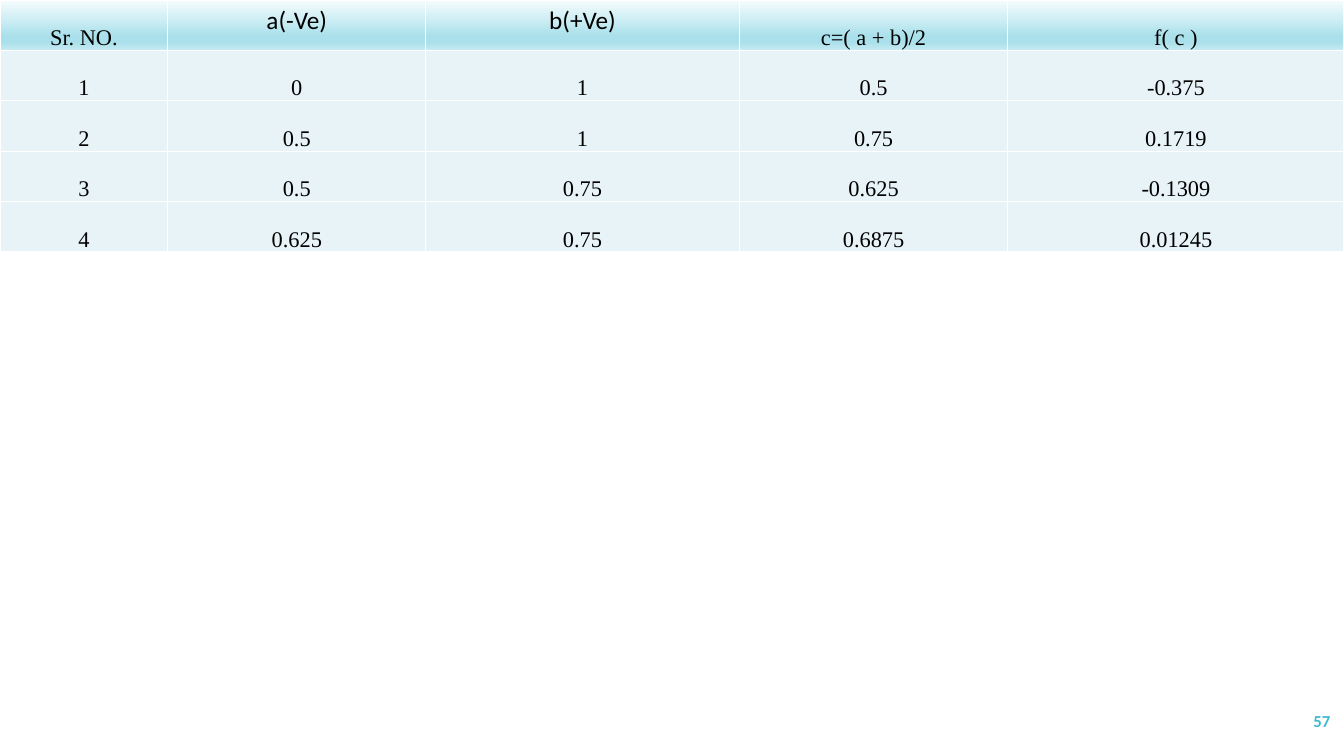
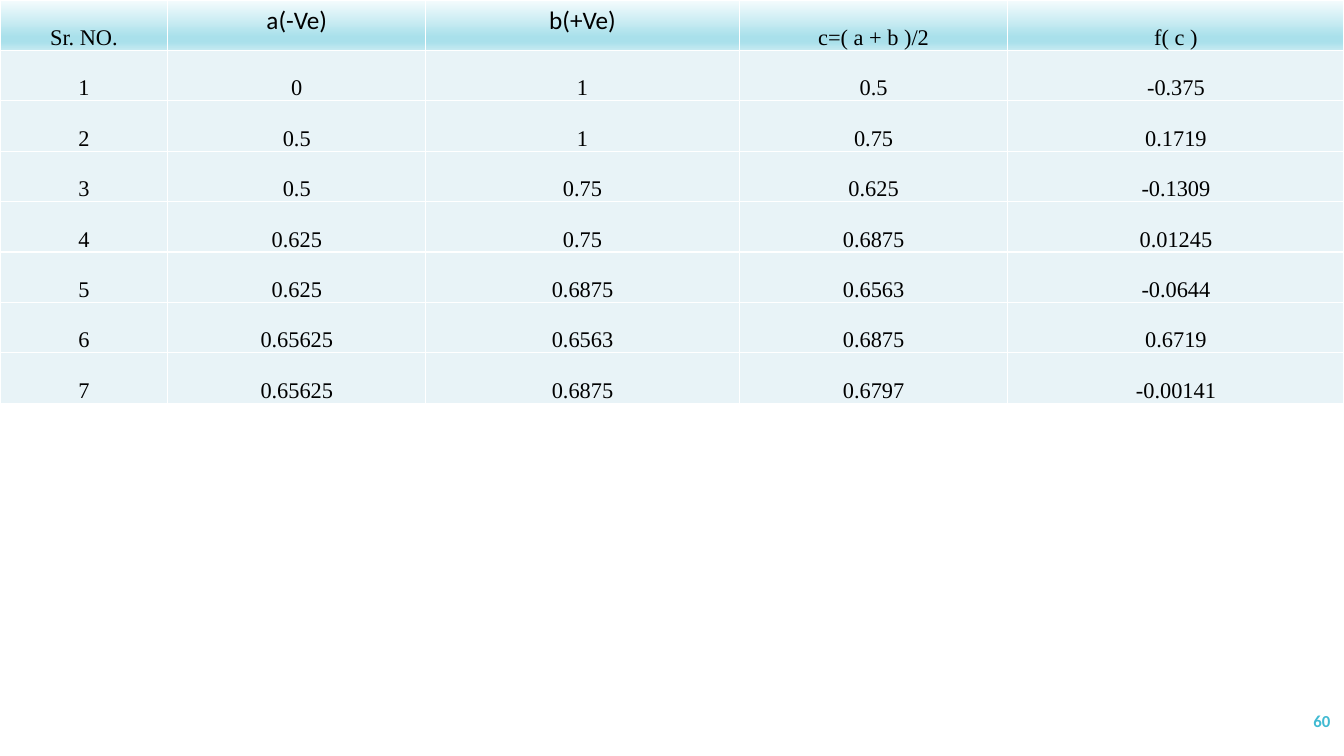
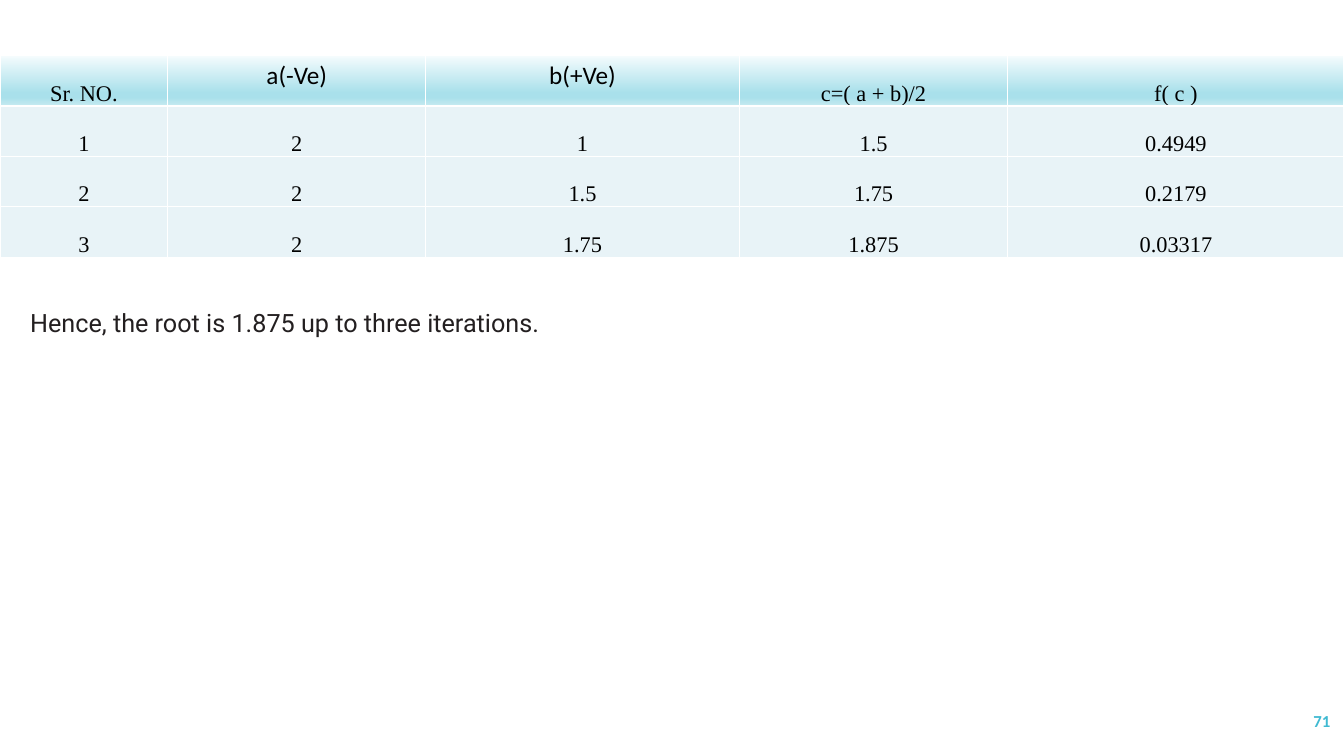
from lxml import etree
from pptx import Presentation, oxml
from pptx import util as u
from pptx.dml.color import RGBColor
from pptx.enum import text
from pptx.oxml.ns import qn

BLACK = RGBColor(0x00, 0x00, 0x00)
WHITE = RGBColor(0xFF, 0xFF, 0xFF)
INK = RGBColor(0x23, 0x1F, 0x20)
TEAL = RGBColor(0x40, 0xBA, 0xD2)
ROW_FILL = RGBColor(0xE8, 0xF3, 0xF7)
SKY = RGBColor(0xA9, 0xE0, 0xEB)
HEADER_STOPS = [(0, RGBColor(0xF5, 0xFC, 0xFD)), (74, SKY), (83, SKY),
                (100, RGBColor(0xC6, 0xEA, 0xF1))]

SANS, SERIF, NOTE_FONT = "Calibri", "Times New Roman", "Roboto"
PAGE_WIDTH, PAGE_HEIGHT = u.Cm(33.87), u.Cm(19.05)
COLUMN_WIDTHS = [4.23, 6.5, 7.9, 6.77, 8.47]
ROW_HEIGHT = 1.27

MIDPOINT = "c=( a + b)/2"
FIRST_STEPS = [
    ("1", "0", "1", "0.5", "-0.375"),
    ("2", "0.5", "1", "0.75", "0.1719"),
    ("3", "0.5", "0.75", "0.625", "-0.1309"),
    ("4", "0.625", "0.75", "0.6875", "0.01245"),
]
LATER_STEPS = [
    ("5", "0.625", "0.6875", "0.6563", "-0.0644"),
    ("6", "0.65625", "0.6563", "0.6875", "0.6719"),
    ("7", "0.65625", "0.6875", "0.6797", "-0.00141"),
]
SECOND_ROOT_STEPS = [
    ("1", "2", "1", "1.5", "0.4949"),
    ("2", "2", "1.5", "1.75", "0.2179"),
    ("3", "2", "1.75", "1.875", "0.03317"),
]


def write(frame, words, size=16, font=SERIF, color=BLACK, bold=False,
          align=text.PP_ALIGN.CENTER):
    para = frame.paragraphs[0]
    para.alignment = align
    span = para.add_run()
    span.text = words
    span.font.size = u.Pt(size)
    span.font.name = font
    span.font.bold = bold
    span.font.color.rgb = color


def add_text(page, left, top, width, words, anchor=text.MSO_ANCHOR.TOP, **style):
    box = page.shapes.add_textbox(u.Cm(left), u.Cm(top), u.Cm(width), u.Cm(1.02))
    box.text_frame.word_wrap = True
    box.text_frame.vertical_anchor = anchor
    write(box.text_frame, words, **style)


def draw_borders(cell):
    properties = cell._tc.get_or_add_tcPr()
    for side in ("lnL", "lnR", "lnT", "lnB"):
        line = etree.SubElement(properties, qn(f"a:{side}"), w=str(u.Pt(1)))
        fill = etree.SubElement(line, qn("a:solidFill"))
        etree.SubElement(fill, qn("a:srgbClr"), val=str(WHITE))


def fill_header(cell):
    """Give the cell the vertical four-stop gradient."""
    gradient = etree.SubElement(cell._tc.get_or_add_tcPr(), qn("a:gradFill"))
    stops = etree.SubElement(gradient, qn("a:gsLst"))
    for percent, color in HEADER_STOPS:
        stop = etree.SubElement(stops, qn("a:gs"), pos=str(percent * 1000))
        etree.SubElement(stop, qn("a:srgbClr"), val=str(color))
    etree.SubElement(gradient, qn("a:lin"), ang=str(90 * 60000), scaled="0")


def set_tight(cell):
    """Sit the text on the bottom edge with almost no margins."""
    cell.vertical_anchor = text.MSO_ANCHOR.BOTTOM
    cell.margin_left = cell.margin_right = cell.margin_top = u.Cm(0.03)
    cell.margin_bottom = 0


def add_steps_table(page, steps, top=0, midpoint=MIDPOINT):
    rows = [("Sr. NO.", "a(-Ve)", "b(+Ve)", midpoint, "f( c )"), *steps]
    table = page.shapes.add_table(
        len(rows), len(COLUMN_WIDTHS), 0, u.Cm(top), PAGE_WIDTH,
        u.Cm(ROW_HEIGHT * len(rows))).table
    table.first_row = table.horz_banding = False
    for column, width in zip(table.columns, COLUMN_WIDTHS):
        column.width = u.Cm(width)
    for row_index, row in enumerate(rows):
        table.rows[row_index].height = u.Cm(ROW_HEIGHT)
        for column_index, words in enumerate(row):
            cell = table.cell(row_index, column_index)
            draw_borders(cell)
            if row_index == 0:
                fill_header(cell)
            else:
                cell.fill.solid()
                cell.fill.fore_color.rgb = ROW_FILL
            if row_index == 0 and column_index in (1, 2):
                write(cell.text_frame, words, size=18, font=SANS)
            else:
                set_tight(cell)
                write(cell.text_frame, words)


def add_page(deck, number):
    page = deck.slides.add_slide(deck.slide_layouts[6])
    add_text(page, 29.54, 17.65, 4.24, number, anchor=text.MSO_ANCHOR.MIDDLE,
             size=12, font=SANS, color=TEAL, bold=True,
             align=text.PP_ALIGN.RIGHT)
    return page


def main():
    deck = Presentation()
    deck.slide_width, deck.slide_height = PAGE_WIDTH, PAGE_HEIGHT

    add_steps_table(add_page(deck, "57"), FIRST_STEPS)
    add_steps_table(add_page(deck, "60"), FIRST_STEPS + LATER_STEPS,
                    midpoint="c=( a + b )/2")

    page = add_page(deck, "71")
    add_steps_table(page, SECOND_ROOT_STEPS, top=1.4)
    add_text(page, 0.51, 7.62, 16.97,
             "Hence, the root is 1.875 up to three iterations.",
             size=18, font=NOTE_FONT, color=INK, align=text.PP_ALIGN.LEFT)

    deck.save("out.pptx")


if __name__ == "__main__":
    main()
